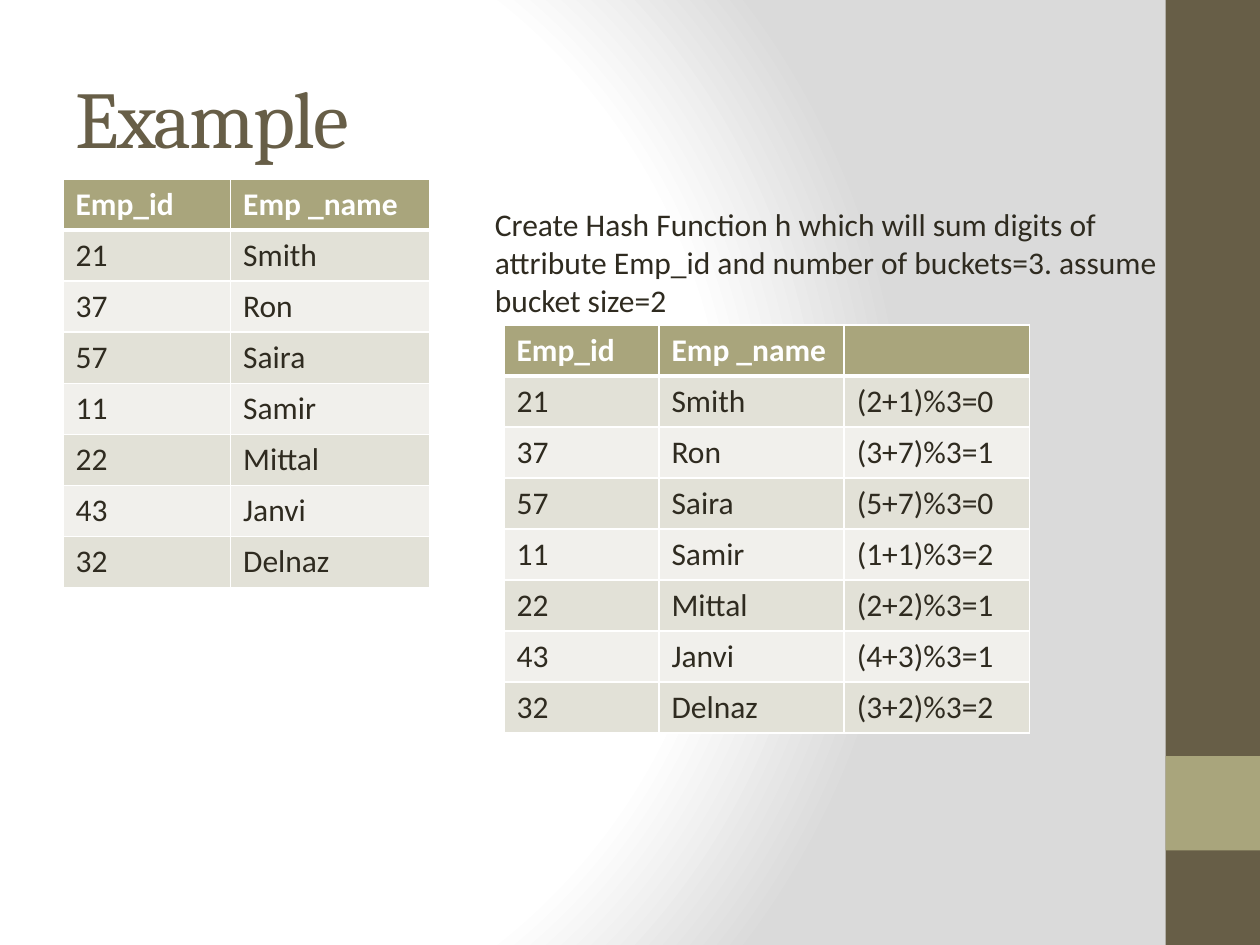
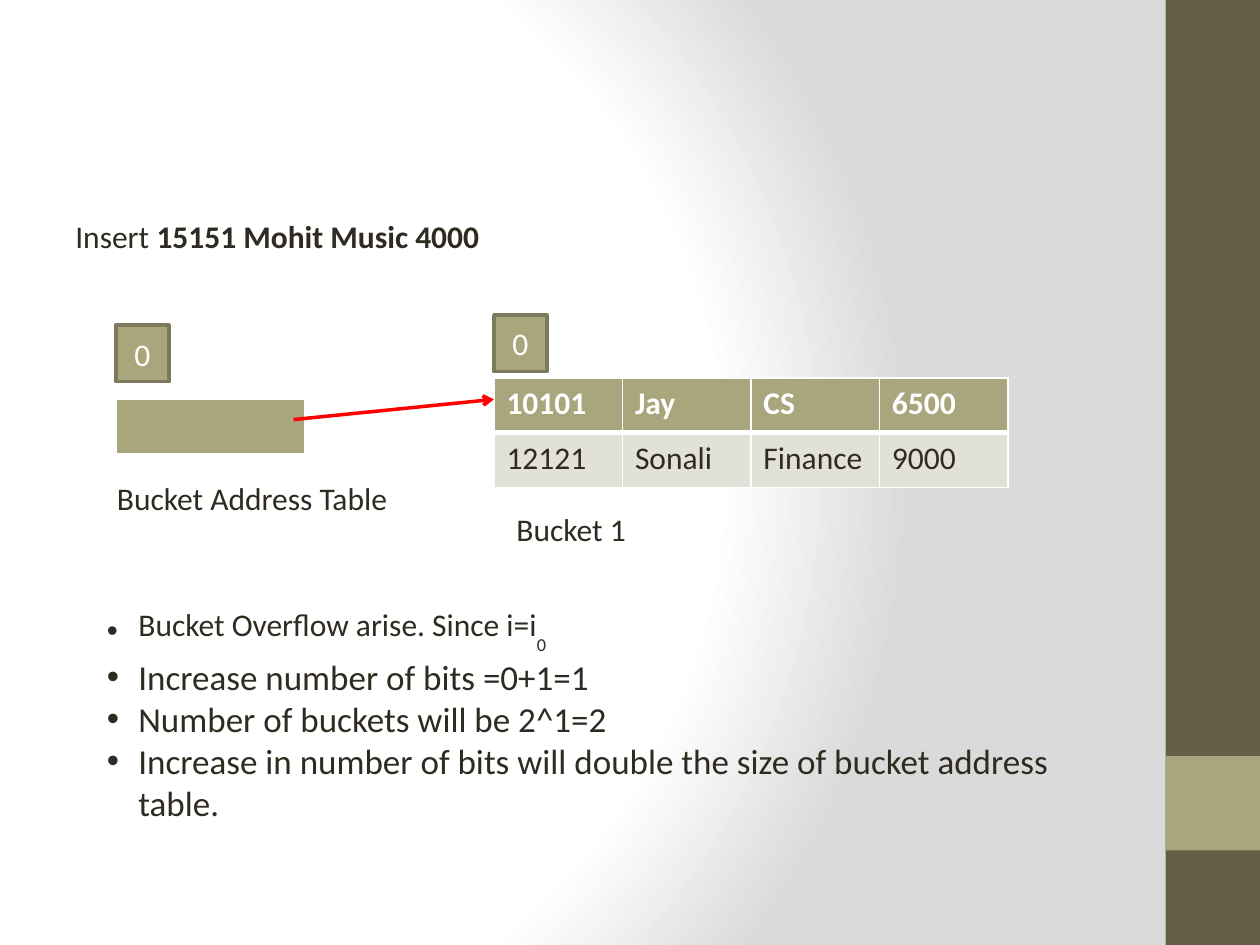
import pptx
import pptx.util
import pptx.dml.color
import pptx.enum.shapes
import pptx.enum.text
import pptx.oxml
import pptx.oxml.ns
from pptx.util import Inches

# Palette and type
DARK, OLIVE, EDGE = "675E47", "A9A57C", "7D7A5C"
INK, WHITE, RED = "2F2B20", "FFFFFF", "FF0000"
ROW_FILLS = ("E2E1D7", "F1F0EC")
BODY, HEADING = "Calibri", "Cambria"
NS = pptx.oxml.ns.nsdecls("a")


def rgb(value):
    return pptx.dml.color.RGBColor.from_string(value)


def xml(text):
    """Parse a fragment whose root takes the drawing namespace at %s."""
    return pptx.oxml.parse_xml(text % NS)


class Deck:
    def __init__(self, width, height):
        self.prs = pptx.Presentation()
        self.prs.slide_width, self.prs.slide_height = Inches(width), Inches(height)
        self.s = None
        self.background()

    def background(self):
        master = self.prs.slide_master
        master.background.fill.solid()
        bg = master.element.xpath(".//p:bgPr")[0]
        stops = "".join(
            f'<a:gs pos="{pos}000"><a:srgbClr val="{color}"/></a:gs>'
            for pos, color in ((0, WHITE), (75, WHITE), (100, "DADADA")))
        bg.replace(bg[0], xml(
            f'<a:gradFill %s rotWithShape="1"><a:gsLst>{stops}</a:gsLst><a:path path="circle">'
            '<a:fillToRect l="20000" t="50000" r="100000" b="50000"/></a:path></a:gradFill>'))

    def slide(self, title=None):
        layout = self.prs.slide_layouts[5 if title else 6]
        self.s = self.prs.slides.add_slide(layout)
        # Side band with its accent block
        self.box(9.25, 0, 0.75, 7.5, DARK)
        self.box(9.25, 6, 0.75, 0.75, OLIVE)
        if title:
            self.title(title)

    def title(self, text):
        sp = self.s.shapes.title
        sp.left, sp.top, sp.width, sp.height = map(Inches, (0.5, 0.3, 8.33, 1.25))
        tf = sp.text_frame
        tf.text = text
        tf.vertical_anchor = pptx.enum.text.MSO_ANCHOR.MIDDLE
        p = tf.paragraphs[0]
        p.alignment = pptx.enum.text.PP_ALIGN.LEFT
        self.style(p.runs[0], 46, DARK, font=HEADING)
        p.runs[0].font._element.set("spc", "-100")

    def style(self, r, size=18, color=INK, bold=False, font=BODY):
        r.font.name, r.font.size, r.font.bold = font, pptx.util.Pt(size), bold
        r.font.color.rgb = rgb(color)

    def box(self, x, y, w, h, fill, line=None, text=""):
        sp = self.s.shapes.add_shape(pptx.enum.shapes.MSO_SHAPE.RECTANGLE,
                                     *map(Inches, (x, y, w, h)))
        sp.shadow.inherit = False
        sp.fill.solid()
        sp.fill.fore_color.rgb = rgb(fill)
        if line:
            sp.line.color.rgb = rgb(line)
            sp.line.width = pptx.util.Pt(2)
        else:
            sp.line.fill.background()
        if text:
            tf = sp.text_frame
            tf.text = text
            tf.vertical_anchor = pptx.enum.text.MSO_ANCHOR.MIDDLE
            p = tf.paragraphs[0]
            p.alignment = pptx.enum.text.PP_ALIGN.CENTER
            self.style(p.runs[0], color=WHITE)

    def text(self, x, y, w, h, *lines, size=18, bullet=False):
        """Add a text box and return its paragraphs."""
        tf = self.s.shapes.add_textbox(*map(Inches, (x, y, w, h))).text_frame
        tf.word_wrap = True
        tf.text = "\n".join(lines)
        for p in tf.paragraphs:
            if bullet:
                pPr = p._p.get_or_add_pPr()
                pPr.set("marL", str(Inches(0.25)))
                pPr.set("indent", str(Inches(-0.25)))
                pPr.append(xml('<a:buFont %s typeface="Arial"/>'))
                pPr.append(xml('<a:buChar %s char="•"/>'))
            self.style(p.runs[0], size)
        return tf.paragraphs

    def add_run(self, p, text, **look):
        r = p.add_run()
        r.text = text
        self.style(r, **look)
        return r

    def table(self, x, y, widths, height, rows):
        frame = self.s.shapes.add_table(len(rows), len(widths), *map(
            Inches, (x, y, sum(widths), height)))
        table = frame.table
        for column, width in zip(table.columns, widths):
            column.width = Inches(width)
        for i, row in enumerate(rows):
            table.rows[i].height = Inches(height / len(rows))
            for j, value in enumerate(row):
                self.cell(table.cell(i, j), value, i)

    def cell(self, cell, value, row):
        header = row == 0
        # A thick rule parts the header from the body
        tcPr = cell._tc.get_or_add_tcPr()
        rules = {"L": 1, "R": 1, "T": 3 if row == 1 else 1, "B": 3 if header else 1}
        for side, points in rules.items():
            tcPr.append(xml(
                f'<a:ln{side} %s w="{pptx.util.Pt(points)}"><a:solidFill>'
                f'<a:srgbClr val="{WHITE}"/></a:solidFill></a:ln{side}>'))
        cell.fill.solid()
        cell.fill.fore_color.rgb = rgb(OLIVE if header else ROW_FILLS[(row - 1) % 2])
        if value:
            cell.text_frame.text = value
            self.style(cell.text_frame.paragraphs[0].runs[0],
                       color=WHITE if header else INK, bold=header)

    def arrow(self, x1, y1, x2, y2, color):
        line = self.s.shapes.add_connector(pptx.enum.shapes.MSO_CONNECTOR.STRAIGHT,
                                           *map(Inches, (x1, y1, x2, y2)))
        line.line.color.rgb = rgb(color)
        line.line.width = pptx.util.Pt(2)
        line.line._get_or_add_ln().append(xml('<a:tailEnd %s type="arrow"/>'))
        line._element.spPr.append(xml("<a:effectLst %s/>"))


def hash_slide(deck):
    header = ("Emp_id", "Emp _name")
    employees = [("21", "Smith"), ("37", "Ron"), ("57", "Saira"), ("11", "Samir"),
                 ("22", "Mittal"), ("43", "Janvi"), ("32", "Delnaz")]
    hashed = [(emp_id, name, f"({'+'.join(emp_id)})%3={sum(map(int, emp_id)) % 3}")
              for emp_id, name in employees]

    deck.slide("Example")
    deck.table(0.5, 1.42, (1.33, 1.58), 3.24, [header, *employees])
    deck.text(3.83, 1.58, 5.58, 1.01,
              "Create Hash Function h which will sum digits of",
              "attribute Emp_id and number of buckets=3. assume bucket size=2")
    deck.table(4, 2.58, (1.23, 1.47, 1.47), 3.24, [(*header, ""), *hashed])


def overflow_slide(deck):
    deck.slide()
    # Bucket address table and bucket, each with its bit count
    deck.table(0.92, 3.17, (1.5,), 0.44, [("",)])
    deck.table(3.92, 3, (1.02,) * 4, 0.87, [("10101", "Jay", "CS", "6500"),
                                            ("12121", "Sonali", "Finance", "9000")])
    for x, y in ((0.92, 2.58), (3.92, 2.5)):
        deck.box(x, y, 0.42, 0.45, OLIVE, EDGE, "0")
    deck.text(0.83, 3.75, 2.42, 0.4, "Bucket Address Table")
    deck.text(4, 4, 1.08, 0.4, "Bucket 1")
    deck.arrow(2.33, 3.33, 3.92, 3.17, RED)

    # Record to insert
    p = deck.text(0.5, 1.67, 7.67, 0.4, "Insert ")[0]
    deck.add_run(p, "15151 Mohit Music 4000", bold=True)

    # Consequences of the overflow
    p = deck.text(0.75, 4.75, 7.92, 2.05,
                  "Bucket Overflow arise. Since i=i",
                  "Increase number of bits =0+1=1",
                  "Number of buckets will be 2^1=2",
                  "Increase in number of bits will double the size of bucket address table.",
                  size=20, bullet=True)[0]
    deck.style(p.runs[0])
    deck.add_run(p, "0").font._element.set("baseline", "-50000")


def main():
    deck = Deck(10, 7.5)
    hash_slide(deck)
    overflow_slide(deck)
    deck.prs.save("out.pptx")


if __name__ == "__main__":
    main()
